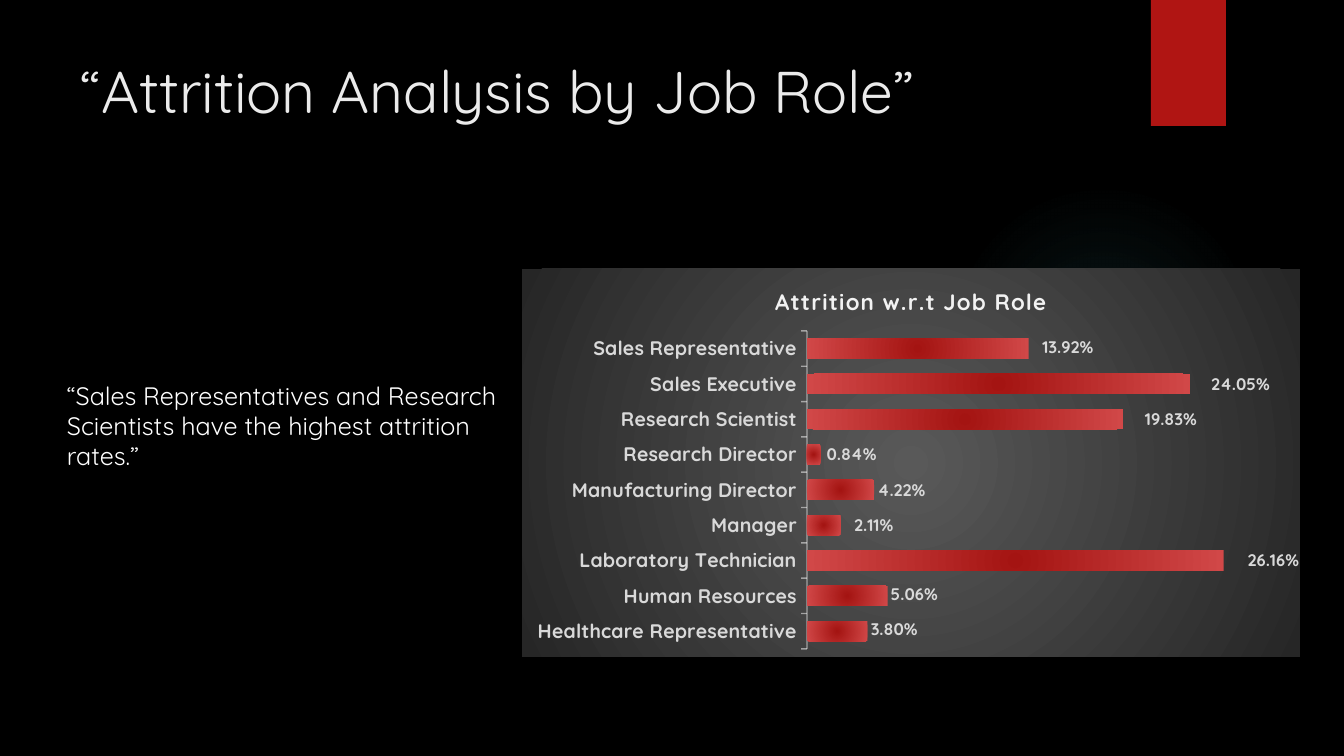
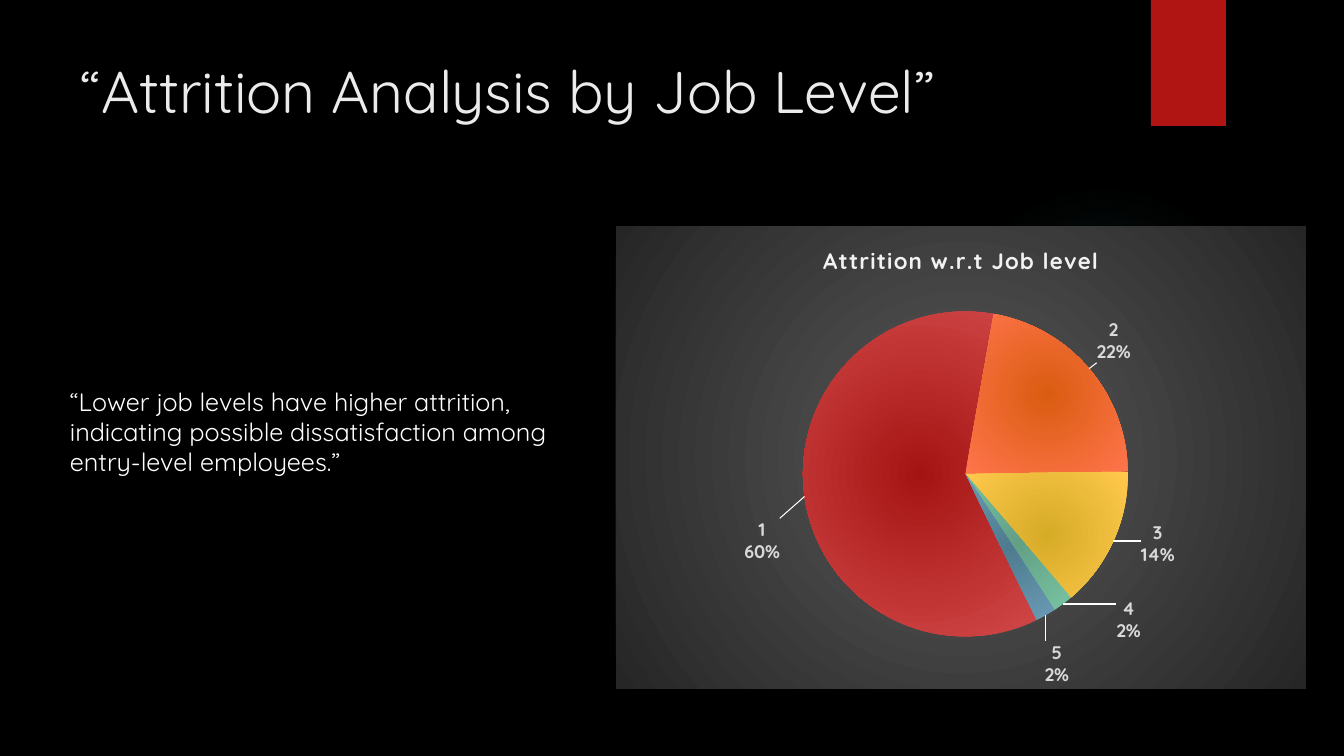
from copy import deepcopy
from dataclasses import dataclass

from lxml.etree import SubElement
from pptx import Presentation
from pptx.chart.chart import Chart
from pptx.chart.data import CategoryChartData
from pptx.dml.color import RGBColor
from pptx.enum.chart import XL_CHART_TYPE as ChartKind
from pptx.enum.chart import XL_LABEL_POSITION as LabelPosition
from pptx.enum.chart import XL_TICK_LABEL_POSITION as TickLabels
from pptx.enum.chart import XL_TICK_MARK as TickMark
from pptx.enum.shapes import MSO_SHAPE as Preset
from pptx.oxml import parse_xml
from pptx.oxml.ns import nsdecls, qn
from pptx.slide import Slide
from pptx.util import Emu, Pt

FONT = "Quicksand"
BLACK = RGBColor(0x00, 0x00, 0x00)
WHITE = RGBColor(0xFF, 0xFF, 0xFF)
TITLE_GREY = RGBColor(0xEB, 0xEB, 0xEB)
HEADING_GREY = RGBColor(0xF2, 0xF2, 0xF2)
LABEL_GREY = RGBColor(0xD9, 0xD9, 0xD9)
PANEL_INNER = RGBColor(0x59, 0x59, 0x59)
PANEL_OUTER = RGBColor(0x26, 0x26, 0x26)
RIBBON_RED = RGBColor(0xB0, 0x15, 0x13)
GLOW_TEAL = RGBColor(0x50, 0xB9, 0xC1)
RED = (RGBColor(0xA4, 0x14, 0x12), RGBColor(0xD1, 0x48, 0x48))
ORANGE = (RGBColor(0xDA, 0x5C, 0x11), RGBColor(0xFF, 0x75, 0x4C))
YELLOW = (RGBColor(0xD6, 0xAB, 0x26), RGBColor(0xFF, 0xC9, 0x4D))
GREEN = (RGBColor(0x63, 0xA0, 0x86), RGBColor(0x77, 0xC3, 0xA1))
BLUE = (RGBColor(0x4E, 0x7B, 0x8F), RGBColor(0x6A, 0x9A, 0xB4))


@dataclass(frozen=True)
class Box:
    left: int
    top: int
    width: int
    height: int

    def emu(self) -> tuple[Emu, ...]:
        return tuple(map(px, (self.left, self.top, self.width, self.height)))


@dataclass(frozen=True)
class Stop:
    percent: int
    color: RGBColor
    opacity: int = 100


@dataclass(frozen=True)
class Group:
    name: str
    value: float
    label_dx: int
    label_dy: int = 0
    shades: tuple[RGBColor, RGBColor] = RED


@dataclass(frozen=True)
class Panel:
    kind: ChartKind
    heading: str
    box: Box
    plot: Box
    groups: tuple[Group, ...]
    label_size: int
    label_format: str
    label_position: LabelPosition


@dataclass(frozen=True)
class Page:
    title: str
    finding: str
    finding_box: Box
    panel: Panel


TITLE_BOX = Box(71, 50, 1037, 154)
GLOW_BOX = Box(949, 184, 310, 310)
RIBBON_BOX = Box(1151, 0, 75, 126)

PAGES = (
    Page(
        "“Attrition Analysis by Job Role”",
        "“Sales Representatives and Research Scientists have the highest attrition rates.”",
        Box(57, 375, 459, 102),
        Panel(
            ChartKind.BAR_STACKED, "Attrition w.r.t Job Role",
            Box(522, 269, 778, 388), Box(285, 62, 478, 318),
            (
                Group("Healthcare Representative", 0.038, 57, -2),
                Group("Human Resources", 0.0506, 67, -2),
                Group("Laboratory Technician", 0.2616, 258),
                Group("Manager", 0.0211, 50),
                Group("Manufacturing Director", 0.0422, 61),
                Group("Research Director", 0.0084, 38),
                Group("Research Scientist", 0.1983, 206),
                Group("Sales Executive", 0.2405, 242),
                Group("Sales Representative", 0.1392, 150, -1),
            ),
            12, "0.00%", LabelPosition.CENTER,
        ),
    ),
    Page(
        "“Attrition Analysis by Job Level”",
        "“Lower job levels have higher attrition, indicating possible dissatisfaction "
        "among entry-level employees.”",
        Box(60, 381, 546, 102),
        Panel(
            ChartKind.PIE, "Attrition w.r.t Job level",
            Box(616, 226, 690, 463), Box(187, 85, 325, 326),
            (
                Group("1", 60, -19, 21),
                Group("2", 22, 3, -2, ORANGE),
                Group("3", 14, 22, -22, YELLOW),
                Group("4", 2, 50, -11, GREEN),
                Group("5", 2, -4, 21, BLUE),
            ),
            13, "0%", LabelPosition.OUTSIDE_END,
        ),
    ),
)


def px(length: int) -> Emu:
    return Emu(round(length * 914400 / 100.8))


def style(font, size: int, color: RGBColor, bold: bool = False) -> None:
    font.name, font.size, font.bold = FONT, Pt(size), bold
    font.color.rgb = color


def set_radial_fill(properties, stops: tuple[Stop, ...], focus: int) -> None:
    stop_xml = "".join(
        f'<a:gs pos="{stop.percent * 1000}"><a:srgbClr val="{stop.color}">'
        f'<a:alpha val="{stop.opacity * 1000}"/></a:srgbClr></a:gs>'
        for stop in stops
    )
    edges = " ".join(f'{side}="{focus * 1000}"' for side in "ltrb")
    gradient = parse_xml(
        f'<a:gradFill {nsdecls("a")} rotWithShape="1"><a:gsLst>{stop_xml}</a:gsLst>'
        f'<a:path path="circle"><a:fillToRect {edges}/></a:path></a:gradFill>'
    )
    properties.replace(properties.find(qn("a:noFill")), gradient)


def manual_layout(values: dict[str, str | float]):
    layout = parse_xml(f'<c:layout {nsdecls("c")}><c:manualLayout/></c:layout>')
    for tag, value in values.items():
        SubElement(layout[0], qn(f"c:{tag}")).set("val", str(value))
    return layout


def add_copy(slide: Slide, box: Box, words: str, size: int, color: RGBColor) -> None:
    frame = slide.shapes.add_textbox(*box.emu()).text_frame
    frame.word_wrap = True
    frame.text = words
    style(frame.paragraphs[0].runs[0].font, size, color)


def add_backdrop(slide: Slide) -> None:
    slide.background.fill.solid()
    slide.background.fill.fore_color.rgb = BLACK
    glow = slide.shapes.add_shape(Preset.OVAL, *GLOW_BOX.emu())
    ribbon = slide.shapes.add_shape(Preset.RECTANGLE, *RIBBON_BOX.emu())
    for ornament in (glow, ribbon):
        ornament.shadow.inherit = False
        ornament.line.fill.background()
    glow.fill.background()
    set_radial_fill(
        glow.element.spPr,
        (Stop(0, GLOW_TEAL, 7), Stop(36, GLOW_TEAL, 6), Stop(69, GLOW_TEAL, 0)),
        50,
    )
    ribbon.fill.solid()
    ribbon.fill.fore_color.rgb = RIBBON_RED


def set_panel_frame(chart: Chart, panel: Panel) -> None:
    surface = parse_xml(
        f'<c:spPr {nsdecls("c", "a")}><a:noFill/><a:ln><a:noFill/></a:ln></c:spPr>'
    )
    set_radial_fill(surface, (Stop(0, PANEL_INNER), Stop(100, PANEL_OUTER)), 50)
    chart_body = chart.element.find(qn("c:chart"))
    chart_body.addnext(surface)
    plot_area = chart_body.find(qn("c:plotArea"))
    for automatic in plot_area.findall(qn("c:layout")):
        plot_area.remove(automatic)
    plot_area.insert(0, manual_layout({
        "layoutTarget": "inner", "xMode": "edge", "yMode": "edge",
        "x": panel.plot.left / panel.box.width,
        "y": panel.plot.top / panel.box.height,
        "w": panel.plot.width / panel.box.width,
        "h": panel.plot.height / panel.box.height,
    }))
    chart.has_legend = False
    chart.has_title = True
    chart.chart_title.text_frame.text = panel.heading
    heading = chart.chart_title.text_frame.paragraphs[0].runs[0].font
    style(heading, 16, HEADING_GREY, True)
    heading._element.set("spc", "100")


def color_groups(series, panel: Panel) -> None:
    for index in range(len(panel.groups)):
        look = series.points[index].format
        look.fill.background()
        look.line.fill.background()
    for point, group in zip(series._element.findall(qn("c:dPt")), panel.groups):
        inner, outer = group.shades
        set_radial_fill(point.find(qn("c:spPr")), (Stop(0, inner), Stop(100, outer)), 100)


def label_groups(series, panel: Panel) -> None:
    is_pie = panel.kind == ChartKind.PIE
    labels = series.data_labels
    style(labels.font, panel.label_size, LABEL_GREY, True)
    labels.number_format = panel.label_format
    labels.number_format_is_linked = False
    labels.position = panel.label_position
    labels.show_value = not is_pie
    labels.show_percentage = labels.show_category_name = is_pie
    shared = labels._element
    leader_tag = qn("c:showLeaderLines")
    for leader in shared.findall(leader_tag):
        leader.set("val", str(int(is_pie)))
    if is_pie:
        separator = parse_xml(f'<c:separator {nsdecls("c")}>\n</c:separator>')
        shared.find(qn("c:showBubbleSize")).addnext(separator)
    settings = [child for child in shared if child.tag != leader_tag]
    for index, group in enumerate(panel.groups):
        label = parse_xml(f'<c:dLbl {nsdecls("c")}><c:idx val="{index}"/></c:dLbl>')
        label.append(manual_layout({
            "x": group.label_dx / panel.box.width,
            "y": group.label_dy / panel.box.height,
        }))
        label.extend(deepcopy(settings))
        shared.insert(index, label)
    if is_pie:
        shared.append(parse_xml(
            f'<c:leaderLines {nsdecls("c", "a")}><c:spPr><a:ln w="9525"><a:solidFill>'
            f'<a:srgbClr val="{WHITE}"/></a:solidFill></a:ln></c:spPr></c:leaderLines>'
        ))


def set_bar_axes(chart: Chart) -> None:
    chart.plots[0].gap_width = 75
    chart.plots[0].overlap = 100
    rates, roles = chart.value_axis, chart.category_axis
    rates.visible = rates.has_major_gridlines = False
    rates.minimum_scale, rates.maximum_scale = 0, 0.3
    roles.has_major_gridlines = False
    roles.major_tick_mark = TickMark.OUTSIDE
    roles.minor_tick_mark = TickMark.NONE
    roles.tick_label_position = TickLabels.LOW
    style(roles.tick_labels.font, 14, LABEL_GREY, True)
    roles.format.line.width = Pt(1)
    roles.format.line.color.rgb = HEADING_GREY
    line_color = next(roles._element.find(qn("c:spPr")).iter(qn("a:srgbClr")))
    SubElement(line_color, qn("a:alpha")).set("val", "54000")


def add_panel(slide: Slide, panel: Panel) -> None:
    is_pie = panel.kind == ChartKind.PIE
    data = CategoryChartData(number_format="General" if is_pie else "0.00%")
    data.categories = [group.name for group in panel.groups]
    data.add_series("Series 1", [group.value for group in panel.groups])
    chart = slide.shapes.add_chart(panel.kind, *panel.box.emu(), data).chart
    style(chart.font, 10, WHITE)
    set_panel_frame(chart, panel)
    plot = chart.plots[0]
    plot.vary_by_categories = False
    color_groups(plot.series[0], panel)
    label_groups(plot.series[0], panel)
    if is_pie:
        pie = chart.element.find(f".//{qn('c:pieChart')}")
        SubElement(pie, qn("c:firstSliceAng")).set("val", "154")
    else:
        set_bar_axes(chart)


def main() -> None:
    deck = Presentation()
    deck.slide_width, deck.slide_height = px(1344), px(756)
    for page in PAGES:
        slide = deck.slides.add_slide(deck.slide_layouts[6])
        add_backdrop(slide)
        add_copy(slide, TITLE_BOX, page.title, 42, TITLE_GREY)
        add_panel(slide, page.panel)
        add_copy(slide, page.finding_box, page.finding, 18, WHITE)
    deck.save("out.pptx")


if __name__ == "__main__":
    main()
